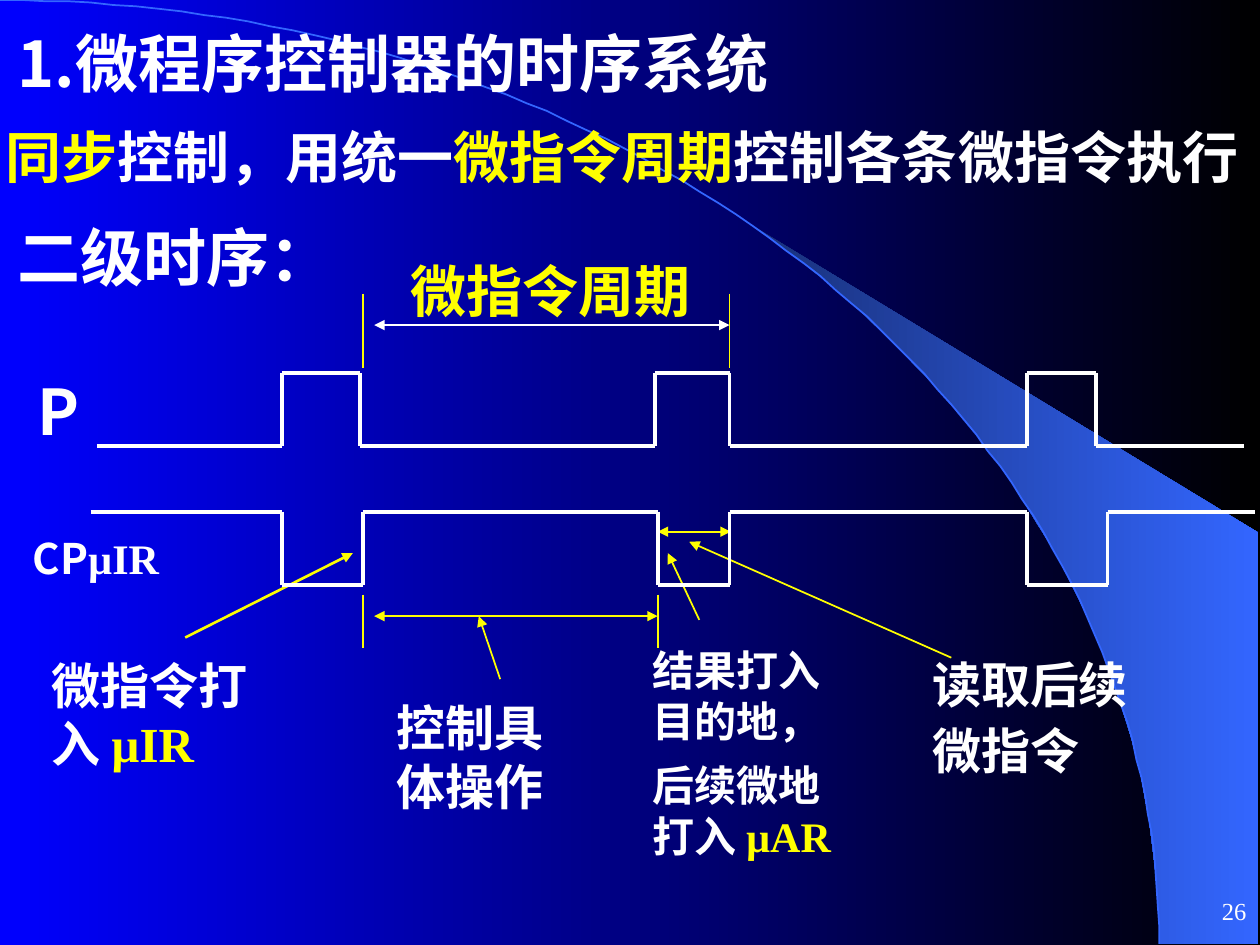
from itertools import pairwise
from math import asin, cos, pi, sin

from lxml.etree import SubElement
from pptx import Presentation
from pptx.dml.color import RGBColor
from pptx.enum.shapes import MSO_CONNECTOR
from pptx.enum.text import MSO_ANCHOR, MSO_AUTO_SIZE, PP_ALIGN
from pptx.oxml.ns import qn
from pptx.util import Emu, Pt

PX = 9144
WHITE = RGBColor(0xFF, 0xFF, 0xFF)
YELLOW = RGBColor(0xFF, 0xFF, 0x00)
BLUE = RGBColor(0x00, 0x00, 0xFF)
BLACK = RGBColor(0x00, 0x00, 0x00)
BEAM_DARK = RGBColor(0x18, 0x2F, 0x76)
BEAM_LIGHT = RGBColor(0x33, 0x66, 0xFF)
SANS = "Noto Sans CJK SC"
SERIF = "Times New Roman"

deck = Presentation()
deck.slide_width, deck.slide_height = Emu(1000 * PX), Emu(750 * PX)
page = deck.slides.add_slide(deck.slide_layouts[6])


def add_text(lines, at, size, font=SANS, bold=True, spacing=1.0, before=0,
             inset=10, align=PP_ALIGN.LEFT, anchor=MSO_ANCHOR.TOP, grow=True):
    box = page.shapes.add_textbox(*(Emu(n * PX) for n in at))
    frame = box.text_frame
    frame.word_wrap = True
    frame.auto_size = MSO_AUTO_SIZE.SHAPE_TO_FIT_TEXT if grow else MSO_AUTO_SIZE.NONE
    frame.vertical_anchor = anchor
    frame.margin_left = frame.margin_right = Emu(inset * PX)
    frame.margin_top = frame.margin_bottom = Emu(5 * PX)
    for index, line in enumerate(lines):
        para = frame.add_paragraph() if index else frame.paragraphs[0]
        para.alignment = align
        para.line_spacing = spacing
        if index:
            para.space_before = Pt(before)
        for text, color, *special in line:
            span = para.add_run()
            span.text = text
            span_font, span_size = special or (font, size)
            span.font.size = Pt(span_size)
            span.font.bold = bold
            span.font.color.rgb = color
            span.font.name = span_font
            SubElement(span.font._element, qn("a:ea"), typeface=SANS)


def add_line(start, end, color=YELLOW, width=1, head=False, tail=False):
    line = page.shapes.add_connector(
        MSO_CONNECTOR.STRAIGHT, *(Emu(n * PX) for n in (*start, *end)))
    line.line.color.rgb = color
    line.line.width = Pt(width)
    outline = line.line._get_or_add_ln()
    for tag, wanted in (("a:headEnd", head), ("a:tailEnd", tail)):
        if wanted:
            SubElement(outline, qn(tag), type="triangle")
    SubElement(line._element.spPr, qn("a:effectLst"))


beam_start = asin(589 / 920)
beam_angles = [beam_start + (pi / 2 - beam_start) * n / 40 for n in range(41)]
arc_angles = [pi / 2 * n / 80 for n in range(81)]
beam_edge, arc = (
    [(round(920 * sin(angle), 2), round(749 * (1 - cos(angle)), 2)) for angle in angles]
    for angles in (beam_angles, arc_angles))

builder = page.shapes.build_freeform(*beam_edge[0], scale=PX)
builder.add_line_segments(beam_edge[1:] + [(999, 749), (999, 423)], close=True)
beam = builder.convert_to_shape()
beam.shadow.inherit = False
beam.line.fill.background()

for fill, colors in ((page.background.fill, (BLUE, BLACK)),
                     (beam.fill, (BEAM_DARK, BEAM_LIGHT))):
    fill.gradient()
    fill.gradient_angle = 0
    for stop, color, position in zip(fill.gradient_stops, colors, (0, 1)):
        stop.color.rgb = color
        stop.position = position

builder = page.shapes.build_freeform(*arc[0], scale=PX)
builder.add_line_segments(arc[1:], close=False)
horizon = builder.convert_to_shape()
horizon.shadow.inherit = False
horizon.fill.background()
horizon.line.color.rgb = BEAM_LIGHT
horizon.line.width = Pt(1)

add_text([[("26", WHITE)]], (791, 698, 208, 50), 14, font=SERIF, bold=False,
         align=PP_ALIGN.RIGHT, anchor=MSO_ANCHOR.MIDDLE, grow=False)
add_text([[("1.微程序控制器的时序系统", WHITE)]], (4, 36, 771, 46), 36, spacing=0.6)
add_text([[("同步", YELLOW), ("控制，用统一", WHITE), ("微指令周期", YELLOW),
           ("控制各条微指令执行", WHITE)]], (4, 111, 996, 42), 32, spacing=0.6, inset=0)
add_text([[("二级时序：", WHITE)]], (4, 185, 383, 52), 36, spacing=0.7)
add_text([[("微指令周期", YELLOW)]], (316, 213, 283, 85), 32, spacing=0.7)
add_text([[("P", WHITE)]], (20, 312, 117, 46), 36, spacing=0.6)
add_text([[("CP", WHITE), ("µIR", WHITE, SERIF, 24), (" ", WHITE, SANS, 36)]],
         (16, 422, 122, 46), 24, spacing=0.6)
add_text([[("微指令打入 ", WHITE), ("µIR", YELLOW)]], (31, 515, 193, 104), 28, font=SERIF)
add_text([[("控制具体操作", WHITE)]], (305, 549, 164, 104), 28, font=SERIF)
add_text([[("结果打入目的地，", WHITE)]], (508, 507, 183, 90), 24, font=SERIF)
add_text([[("后续微地打入 ", WHITE), ("µAR", YELLOW)]], (508, 598, 181, 90), 24, font=SERIF)
add_text([[("读取后续", WHITE)], [("微指令", WHITE)]], (730, 531, 211, 91), 28,
         font=SERIF, spacing=0.6, before=17.5)

for x, top, bottom in ((288, 233, 292), (579, 233, 292), (288, 472, 514), (522, 472, 514)):
    add_line((x, top), (x, bottom))

add_line((297, 258), (579, 258), color=WHITE, head=True, tail=True)
add_line((297, 489), (522, 489), head=True, tail=True)
add_line((522, 422), (580, 422), head=True, tail=True)
add_line((147, 506), (280, 439), width=1.5, tail=True)
add_line((397, 539), (380, 489), tail=True)
add_line((530, 439), (555, 492), head=True)
add_line((547, 430), (755, 522), head=True)

waves = (
    (77, 987, (354, 296), (224, 286, 520, 579, 815, 870)),
    (72, 996, (406, 464), (224, 288, 522, 579, 815, 879)),
)
for start, end, levels, edges in waves:
    points = [(start, levels[0])]
    for index, x in enumerate(edges):
        points += [(x, levels[index % 2]), (x, levels[(index + 1) % 2])]
    points.append((end, levels[0]))
    for first, second in pairwise(points):
        add_line(first, second, color=WHITE, width=2.25)

deck.save("out.pptx")
